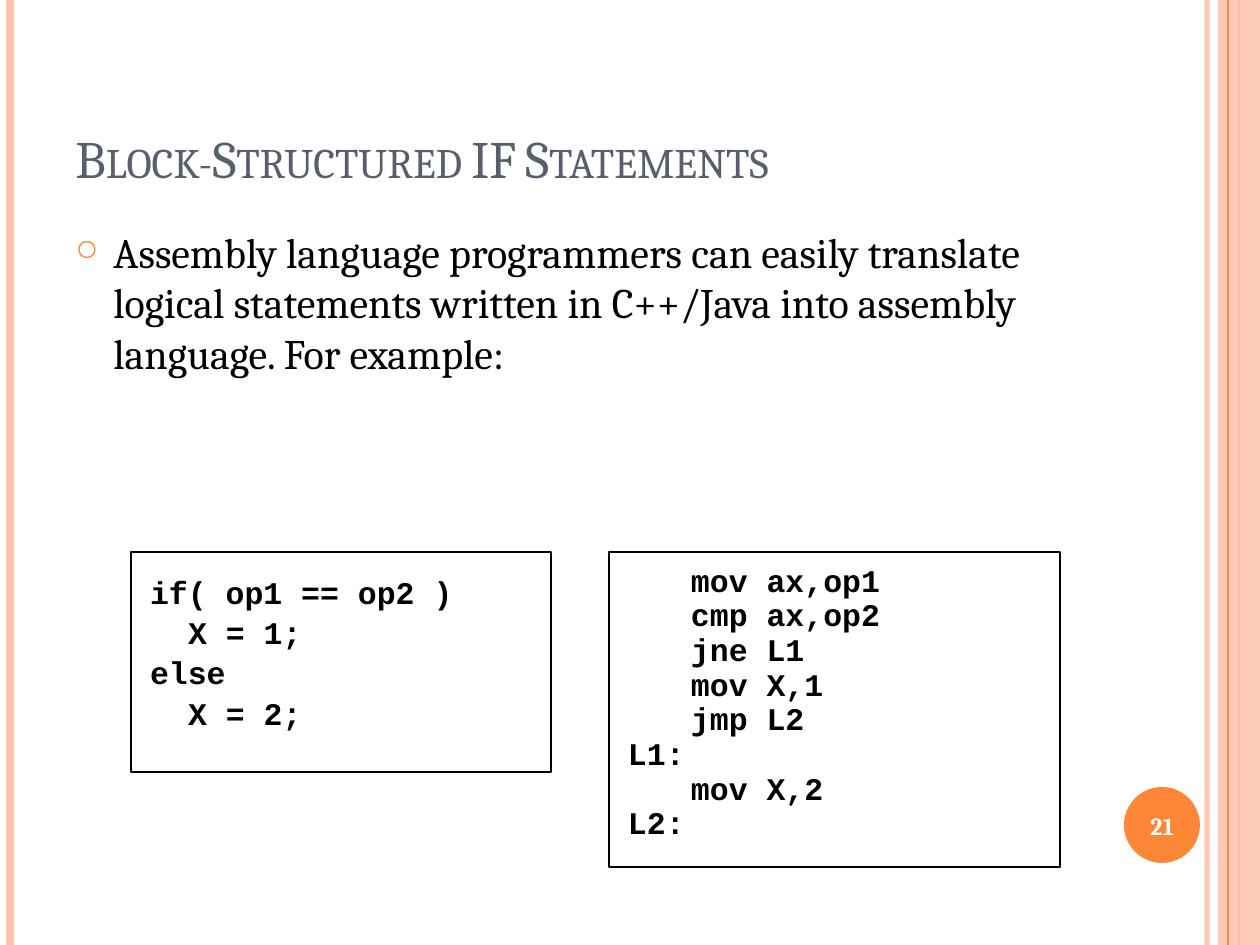
"""Build a slide that sets a block-structured IF beside its assembly translation."""
from lxml.etree import SubElement
from pptx import Presentation
from pptx.dml.color import RGBColor
from pptx.enum.shapes import MSO_CONNECTOR, MSO_SHAPE
from pptx.enum.text import MSO_ANCHOR as ANCHOR, PP_ALIGN as ALIGN
from pptx.oxml.ns import qn
from pptx.util import Pt

PX = 914400 / 126
W, H = 1260, 945
COLORS = {"peach": "FEC3AE", "orange": "FE8637", "slate": "575F6D",
          "black": "000000", "white": "FFFFFF"}
SERIF, MONO = "Cambria", "Courier New"

TITLE = "Block-Structured IF Statements"
BODY = ("Assembly language programmers can easily translate logical statements "
        "written in C++/Java into assembly language. For example:")
PAGE = "21"

RULES_BACK = [(1207, "peach", 3, 93), (10, "peach", 4.5, 100), (1239, "orange", 1.5, 100)]
RULES_FRONT = [(1228, "orange", 0.75, 100)]
BAND = (1218, 0, 42, H)
BADGE = (1124, 787, 76, 76)

CODE = [
    {"box": (609, 552, 451, 315), "line": 50, "before": 50, "indent": 63,
     "rows": [(1, "mov ax,op1"), (1, "cmp ax,op2"), (1, "jne L1"), (1, "mov X,1"),
              (1, "jmp L2"), (0, "L1:"), (1, "mov X,2"), (0, "L2:")]},
    {"box": (131, 552, 420, 220), "line": 90, "before": 20, "indent": 38,
     "rows": [(0, "if( op1 == op2 )"), (1, "X = 1;"), (0, "else"), (1, "X = 2;")]},
]


def emu(px):
    return round(px * PX)


def rgb(name):
    return RGBColor.from_string(COLORS[name])


def child(parent, tag, **attrs):
    return SubElement(parent, qn(tag), {k: str(v) for k, v in attrs.items()})


def set_alpha(sp, percent):
    if percent < 100:
        for color in sp._element.spPr.iter(qn("a:srgbClr")):
            child(color, "a:alpha", val=percent * 1000)


def set_font(p, name, size, color, bold=False):
    for r in p.runs:
        r.font.name, r.font.size, r.font.bold = name, Pt(size), bold
        r.font.color.rgb = rgb(color)


def add_rules(s, rules):
    for x, color, width, alpha in rules:
        rule = s.shapes.add_connector(MSO_CONNECTOR.STRAIGHT, emu(x), 0, emu(x), emu(H))
        rule.line.color.rgb, rule.line.width = rgb(color), Pt(width)
        set_alpha(rule, alpha)
        child(rule._element.spPr, "a:effectLst")


def add_shape(s, kind, box, fill=None, alpha=100):
    sp = s.shapes.add_shape(kind, *map(emu, box))
    sp.shadow.inherit = False
    if fill:
        sp.fill.solid()
        sp.fill.fore_color.rgb = rgb(fill)
        set_alpha(sp, alpha)
        sp.line.fill.background()
    else:
        sp.fill.background()
        sp.line.color.rgb, sp.line.width = rgb("black"), Pt(0.75)
    return sp


def add_text(s, box, text, size, color, anchor=ANCHOR.TOP, bold=False):
    tf = s.shapes.add_textbox(*map(emu, box)).text_frame
    tf.word_wrap, tf.vertical_anchor = True, anchor
    tf.text = text
    p = tf.paragraphs[0]
    set_font(p, SERIF, size, color, bold)
    return p


def add_bullet(p):
    p.space_before = Pt(6)
    pPr = p._p.get_or_add_pPr()
    pPr.set("marL", str(emu(38)))
    pPr.set("indent", str(-emu(38)))
    child(child(pPr, "a:buClr"), "a:srgbClr", val=COLORS["orange"])
    child(pPr, "a:buSzPct", val=70000)
    child(pPr, "a:buChar", char="○")


def add_code(s, code):
    tf = add_shape(s, MSO_SHAPE.RECTANGLE, code["box"]).text_frame
    tf.word_wrap, tf.vertical_anchor = True, ANCHOR.TOP
    tf.margin_left = tf.margin_right = emu(19)
    tf.margin_top = tf.margin_bottom = emu(25)
    tf.text = "\n".join(text for _, text in code["rows"])
    for p, (level, _) in zip(tf.paragraphs, code["rows"]):
        p.alignment = ALIGN.LEFT
        set_font(p, MONO, 18, "black", True)
        pPr = p._p.get_or_add_pPr()
        pPr.set("marL", str(emu(level * code["indent"])))
        for tag, key in (("a:lnSpc", "line"), ("a:spcBef", "before")):
            child(child(pPr, tag), "a:spcPct", val=code[key] * 1000)


def main():
    prs = Presentation()
    prs.slide_width, prs.slide_height = emu(W), emu(H)
    s = prs.slides.add_slide(prs.slide_layouts[6])
    add_rules(s, RULES_BACK)
    add_shape(s, MSO_SHAPE.RECTANGLE, BAND, "peach", 87)
    add_rules(s, RULES_FRONT)
    add_shape(s, MSO_SHAPE.OVAL, BADGE, "orange")

    title = add_text(s, (63, 38, 1029, 157), TITLE, 30, "slate", ANCHOR.BOTTOM)
    title.runs[0].font._element.set("cap", "small")
    add_bullet(add_text(s, (63, 220, 1029, 672), BODY, 24, "black"))
    page = add_text(s, (1120, 790, 84, 72), PAGE, 14, "white", ANCHOR.MIDDLE, True)
    page.alignment = ALIGN.CENTER
    for code in CODE:
        add_code(s, code)
    prs.save("out.pptx")


if __name__ == "__main__":
    main()
